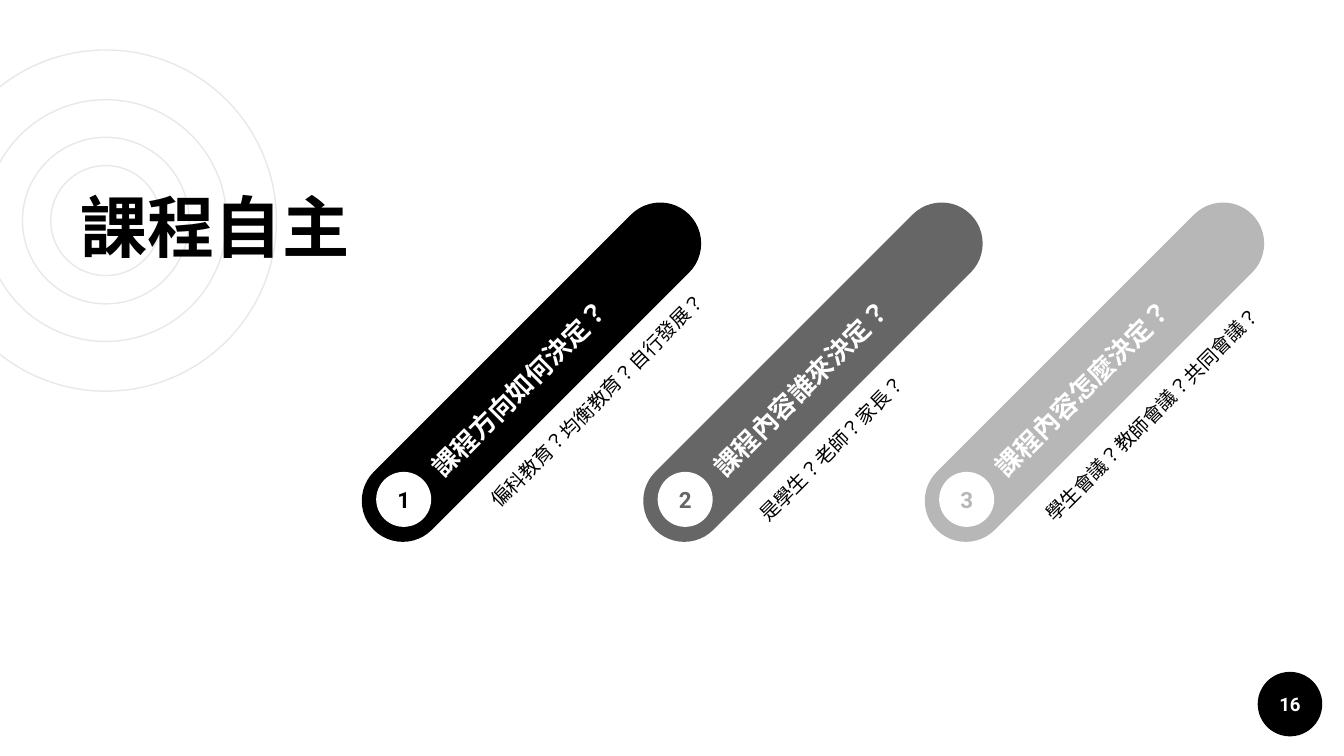
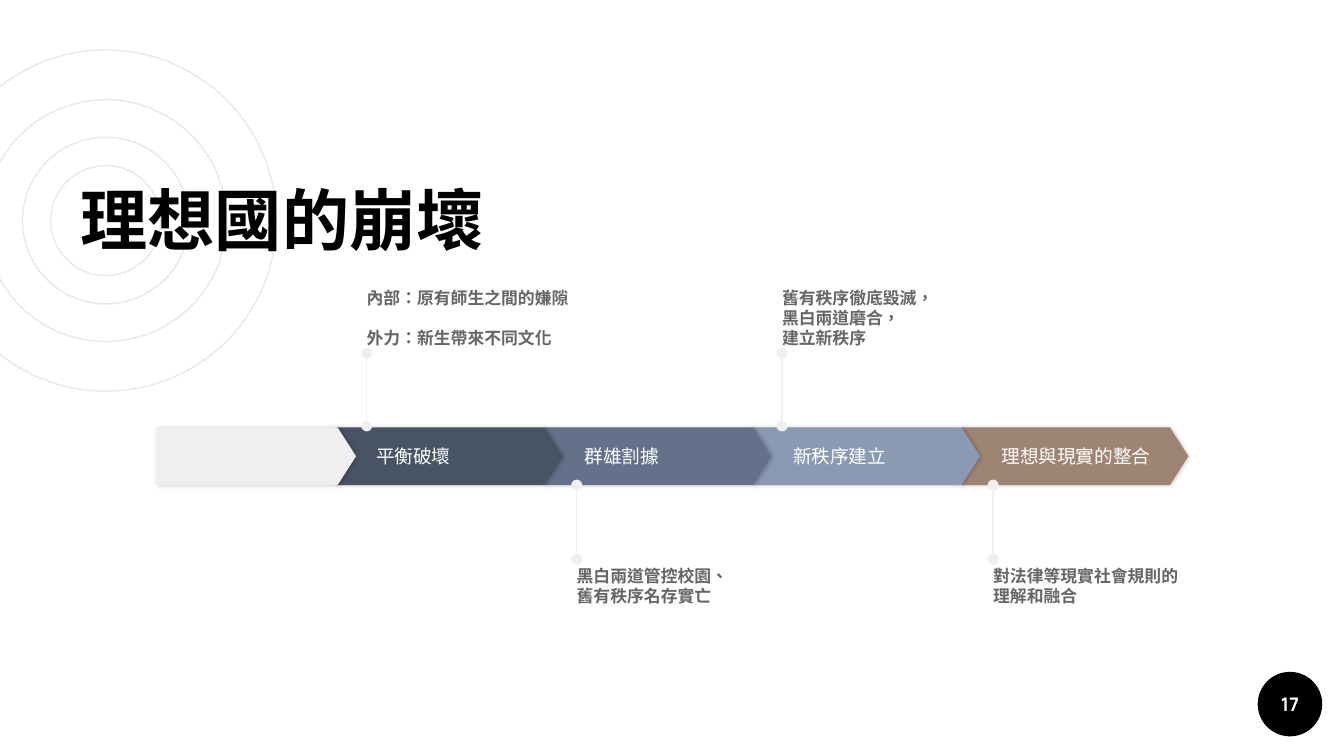
from lxml.etree import SubElement
from pptx import Presentation
from pptx.dml.color import RGBColor
from pptx.enum.shapes import MSO_CONNECTOR, MSO_SHAPE
from pptx.enum.text import MSO_ANCHOR, MSO_AUTO_SIZE, PP_ALIGN
from pptx.oxml.ns import qn
from pptx.util import Cm, Pt

BLACK, WHITE, GRAY = "000000", "FFFFFF", "666666"
RING, PALE = "E8E8E8", "EFEFEF"
INSET = 0.25
RING_CENTER = (2.0, 4.17)
RING_DIAMETERS = (6.45, 3.15, 4.57, 2.08)
BADGE = (23.77, 12.7, 1.22, 1.22)
PILL_STEP = 5.32
STAGE_STEP = 3.94

QUESTIONS = [
    ("課程方向如何決定？", "偏科教育？均衡教育？自行發展？", BLACK, (8.43, 6.99, 6.12, 1.4)),
    ("課程內容誰來決定？", "是學生？老師？家長？", GRAY, (13.44, 7.09, 6.58, 1.4)),
    ("課程內容怎麼決定？", "學生會議？教師會議？共同會議？", "B7B7B7", (18.85, 7.09, 6.58, 1.4)),
]
STAGES = [
    ("平衡破壞", "485364"),
    ("群雄割據", "63728A"),
    ("新秩序建立", "8B9AB3"),
    ("理想與現實的整合", "9E8473"),
]
CALLOUTS = [
    (6.93, 4.29, True, ["內部：原有師生之間的嫌隙", "外力：新生帶來不同文化"], 10.7),
    (14.78, 3.48, True, ["舊有秩序徹底毀滅，", "黑白兩道磨合，", "建立新秩序"], 0),
    (10.9, 4.17, False, ["黑白兩道管控校園、", "舊有秩序名存實亡"], 0),
    (18.77, 3.68, False, ["對法律等現實社會規則的理解和融合"], 0),
]


def color(value):
    return RGBColor.from_string(value)


def lengths(box):
    return [Cm(value) for value in box]


def write(holder, lines, size=10, ink=BLACK, bold=False, font="Roboto",
          align=PP_ALIGN.LEFT, anchor=MSO_ANCHOR.TOP, insets=(INSET,) * 4,
          line_spacing=None, after=0):
    frame = holder.text_frame
    frame.word_wrap = True
    frame.auto_size = MSO_AUTO_SIZE.NONE
    frame.vertical_anchor = anchor
    (frame.margin_left, frame.margin_top,
     frame.margin_right, frame.margin_bottom) = lengths(insets)
    for index, line in enumerate(lines):
        paragraph = frame.add_paragraph() if index else frame.paragraphs[0]
        paragraph.alignment = align
        paragraph.line_spacing = line_spacing
        if after and index < len(lines) - 1:
            paragraph.space_after = Pt(after)
        run = paragraph.add_run()
        run.text = line
        run.font.name = font
        run.font.size = Pt(size)
        run.font.bold = bold
        run.font.color.rgb = color(ink)
        properties = run._r.get_or_add_rPr()
        properties.set("lang", "zh-TW")
        SubElement(properties, qn("a:ea"), typeface=font)


def add_label(slide, box, lines, rotation=0, **style):
    label = slide.shapes.add_textbox(*lengths(box))
    label.rotation = rotation
    write(label, lines, **style)


def add_form(slide, preset, box, fill=None, outline=None, rotation=0, adjust=None):
    form = slide.shapes.add_shape(preset, *lengths(box))
    form.shadow.inherit = False
    form.rotation = rotation
    if adjust is not None:
        form.adjustments[0] = adjust
    if fill:
        form.fill.solid()
        form.fill.fore_color.rgb = color(fill)
    else:
        form.fill.background()
    if outline:
        form.line.color.rgb = color(outline)
        form.line.width = Pt(0.75)
    else:
        form.line.fill.background()
    return form


def decorate_layout(layout, slide):
    center_x, center_y = RING_CENTER
    decorations = [
        add_form(slide, MSO_SHAPE.OVAL,
                 (center_x - size / 2, center_y - size / 2, size, size), outline=RING)
        for size in RING_DIAMETERS
    ]
    decorations.append(add_form(slide, MSO_SHAPE.OVAL, BADGE, fill=BLACK))
    for decoration in decorations:
        layout.shapes.element.append(decoration.element)


def set_heading(slide, heading, width, number, anchor=MSO_ANCHOR.TOP, number_font="Roboto"):
    title = slide.shapes.title
    title.left, title.top, title.width, title.height = lengths((1.27, 3.25, width, 1.9))
    write(title, [heading], size=36, bold=True, anchor=anchor)
    add_label(slide, BADGE, [number], ink=WHITE, bold=True, font=number_font,
              align=PP_ALIGN.CENTER, anchor=MSO_ANCHOR.MIDDLE)


def add_question(slide, index, question, detail, tint, detail_box):
    shift = index * PILL_STEP
    add_form(slide, MSO_SHAPE.ROUNDED_RECTANGLE, (9.27 + shift, 2.82, 1.55, 8.43),
             fill=tint, rotation=45, adjust=0.5)
    marker = add_form(slide, MSO_SHAPE.OVAL, (7.11 + shift, 8.92, 1.04, 1.04), fill=WHITE)
    write(marker, [str(index + 1)], size=12, ink=tint, bold=True,
          align=PP_ALIGN.CENTER, anchor=MSO_ANCHOR.MIDDLE)
    add_label(slide, (7.09 + shift, 6.22, 6.48, 1.09), [question], rotation=315,
              size=14, ink=WHITE, bold=True, anchor=MSO_ANCHOR.MIDDLE, line_spacing=1.15)
    add_label(slide, detail_box, [detail], rotation=315, size=10.5)


def add_stage(slide, left, width, tint, caption=None):
    stage = add_form(slide, MSO_SHAPE.PENTAGON, (left, 8.08, width, 1.09),
                     fill=tint, adjust=0.32)
    effects = stage.element.spPr.find(qn("a:effectLst"))
    shadow = SubElement(effects, qn("a:outerShdw"), blurRad=str(Pt(2.2)),
                        dist=str(Pt(0.8)), dir="0", algn="ctr", rotWithShape="0")
    shade = SubElement(shadow, qn("a:srgbClr"), val=BLACK)
    SubElement(shade, qn("a:alpha"), val="20000")
    if caption:
        write(stage, [caption], ink=WHITE, anchor=MSO_ANCHOR.MIDDLE, insets=(0.76, 0, 0, 0))


def add_callout(slide, left, width, above, lines, after):
    start, end, text_top = (8.05, 6.68, 5.11) if above else (10.57, 9.17, 10.69)
    stem = slide.shapes.add_connector(MSO_CONNECTOR.STRAIGHT,
                                      *lengths((left, start, left, end)))
    stem.line.color.rgb = color(PALE)
    stem.line.width = Pt(0.75)
    outline = stem.line._get_or_add_ln()
    for tip in ("a:headEnd", "a:tailEnd"):
        SubElement(outline, qn(tip), type="oval")
    SubElement(stem.element.spPr, qn("a:effectLst"))
    add_label(slide, (left, text_top, width, 1.47), lines, size=9, ink=GRAY, bold=True,
              anchor=MSO_ANCHOR.BOTTOM if above else MSO_ANCHOR.TOP,
              insets=(0,) * 4, after=after)


def build_autonomy(slide):
    set_heading(slide, "課程自主", 8.64, "16")
    for index, question in enumerate(QUESTIONS):
        add_question(slide, index, *question)


def build_collapse(slide):
    set_heading(slide, "理想國的崩壞", 14.5, "17",
                anchor=MSO_ANCHOR.BOTTOM, number_font="Manrope")
    for index, (caption, tint) in reversed(list(enumerate(STAGES))):
        add_stage(slide, 6.35 + index * STAGE_STEP, 4.29, tint, caption)
    add_stage(slide, 2.95, 3.78, PALE)
    for callout in CALLOUTS:
        add_callout(slide, *callout)


def main():
    deck = Presentation()
    deck.slide_width, deck.slide_height = Cm(25.4), Cm(14.29)
    layout = deck.slide_layouts[5]
    autonomy = deck.slides.add_slide(layout)
    collapse = deck.slides.add_slide(layout)
    decorate_layout(layout, autonomy)
    build_autonomy(autonomy)
    build_collapse(collapse)
    deck.save("out.pptx")


if __name__ == "__main__":
    main()
